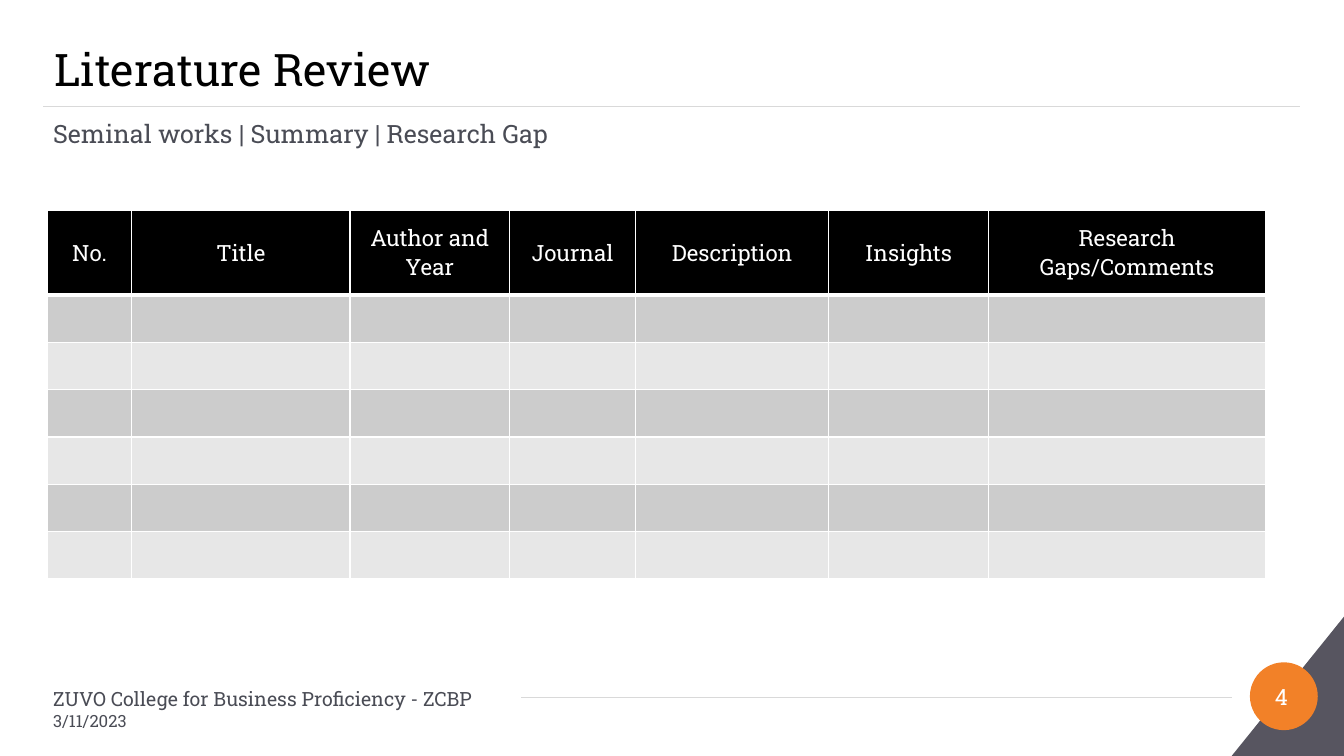
from dataclasses import dataclass

from pptx import Presentation
from pptx import util as u
from pptx.dml import color
from pptx.enum import shapes, text
from pptx.oxml import xmlchemy

Cm = u.Cm
LEFT, MID = text.PP_ALIGN.LEFT, text.PP_ALIGN.CENTER


@dataclass(frozen=True)
class Theme:
    font: str = "Roboto Slab"
    black: str = "000000"
    white: str = "FFFFFF"
    ink: str = "4A4C55"
    rule: str = "D9D9D9"
    slate: str = "575560"
    orange: str = "F28128"
    bands: tuple[str, str] = ("CCCCCC", "E7E7E7")
    title: float = 32
    lead: float = 18
    body: float = 16
    foot: float = 14
    date: float = 12


@dataclass(frozen=True)
class Line:
    words: str
    size: float
    tint: str


@dataclass(frozen=True)
class Label:
    left: float
    top: float
    width: float
    height: float
    lines: tuple[Line, ...]
    align: text.PP_ALIGN = LEFT
    space: float | None = None


@dataclass(frozen=True)
class Rule:
    left: float
    right: float
    top: float


@dataclass(frozen=True)
class Column:
    head: str
    width: float


THEME = Theme()
WIDE, HIGH = 33.87, 19.05

RULES = (Rule(1.09, 32.77, 2.69), Rule(13.13, 31.04, 17.58))

LABELS = (
    Label(1.12, 0.76, 20.96, 1.93,
          (Line("Literature Review", THEME.title, THEME.black),)),
    Label(31.47, 16.69, 1.65, 1.7,
          (Line("4", THEME.body, THEME.white),), MID),
    Label(1.09, 17.35, 12.5, 1.02,
          (Line("ZUVO College for Business Proficiency - ZCBP", THEME.foot, THEME.ink),
           Line("3/11/2023", THEME.date, THEME.ink))),
    Label(1.09, 2.87, 27.74, 1.02,
          (Line("Seminal works | Summary | Research Gap", THEME.lead, THEME.ink),),
          space=21),
)

COLUMNS = (
    Column("No.", 2.12),
    Column("Title", 5.5),
    Column("Author and Year", 4.02),
    Column("Journal", 3.18),
    Column("Description", 4.87),
    Column("Insights", 4.02),
    Column("Research Gaps/Comments", 6.99),
)
ROWS, HEAD, ROW = 6, 2.15, 1.19


def rgb(tint: str) -> color.RGBColor:
    return color.RGBColor.from_string(tint)


def style(par, line: Line, align: text.PP_ALIGN) -> None:
    par.text = line.words
    par.alignment = align
    for run in par.runs:
        run.font.name = THEME.font
        run.font.size = u.Pt(line.size)
        run.font.bold = False
        run.font.color.rgb = rgb(line.tint)


def paint(shape, tint: str) -> None:
    shape.shadow.inherit = False
    shape.fill.solid()
    shape.fill.fore_color.rgb = rgb(tint)
    shape.line.fill.background()


def draw_rule(slide, rule: Rule) -> None:
    line = slide.shapes.add_connector(
        shapes.MSO_CONNECTOR.STRAIGHT,
        Cm(rule.left), Cm(rule.top), Cm(rule.right), Cm(rule.top))
    line.line.color.rgb = rgb(THEME.rule)
    line.line.width = u.Pt(1)
    line._element.spPr.append(xmlchemy.OxmlElement("a:effectLst"))


def draw_corner(slide) -> None:
    left, top = Cm(31.04), Cm(15.54)
    right, base = Cm(WIDE), Cm(HIGH)
    path = slide.shapes.build_freeform(left, base)
    path.add_line_segments([(right, base), (right, top)])
    paint(path.convert_to_shape(), THEME.slate)
    disc = slide.shapes.add_shape(
        shapes.MSO_SHAPE.OVAL, Cm(31.5), Cm(16.69), Cm(1.71), Cm(1.71))
    paint(disc, THEME.orange)


def draw_label(slide, label: Label) -> None:
    box = slide.shapes.add_textbox(
        Cm(label.left), Cm(label.top), Cm(label.width), Cm(label.height))
    frame = box.text_frame
    frame.word_wrap = True
    frame.vertical_anchor = text.MSO_ANCHOR.MIDDLE
    frame.text = "\n".join(line.words for line in label.lines)
    for par, line in zip(frame.paragraphs, label.lines):
        style(par, line, label.align)
        if label.space:
            par.line_spacing = u.Pt(label.space)


def edge(cell, side: str, width: float) -> None:
    line = xmlchemy.OxmlElement(f"a:ln{side}")
    line.set("w", str(u.Pt(width)))
    fill = xmlchemy.OxmlElement("a:solidFill")
    tint = xmlchemy.OxmlElement("a:srgbClr")
    tint.set("val", THEME.white)
    fill.append(tint)
    line.append(fill)
    cell._tc.get_or_add_tcPr().append(line)


def draw_cell(cell, row: int, head: str) -> None:
    for side in "LRTB":
        thick = (row == 0 and side == "B") or (row == 1 and side == "T")
        edge(cell, side, 3 if thick else 1)
    cell.fill.solid()
    cell.fill.fore_color.rgb = rgb(THEME.bands[(row - 1) % 2] if row else THEME.black)
    cell.vertical_anchor = text.MSO_ANCHOR.MIDDLE
    if row == 0:
        style(cell.text_frame.paragraphs[0],
              Line(head, THEME.body, THEME.white), MID)


def draw_table(slide) -> None:
    width = sum(col.width for col in COLUMNS)
    grid = slide.shapes.add_table(
        ROWS + 1, len(COLUMNS), Cm(1.2), Cm(5.29),
        Cm(width), Cm(HEAD + ROWS * ROW)).table
    for row, band in enumerate(grid.rows):
        band.height = Cm(ROW if row else HEAD)
    for index, col in enumerate(COLUMNS):
        grid.columns[index].width = Cm(col.width)
        for row in range(ROWS + 1):
            draw_cell(grid.cell(row, index), row, col.head)


def main() -> None:
    deck = Presentation()
    deck.slide_width, deck.slide_height = Cm(WIDE), Cm(HIGH)
    slide = deck.slides.add_slide(deck.slide_layouts[6])
    for rule in RULES:
        draw_rule(slide, rule)
    draw_corner(slide)
    for label in LABELS:
        draw_label(slide, label)
    draw_table(slide)
    deck.save("out.pptx")


if __name__ == "__main__":
    main()
